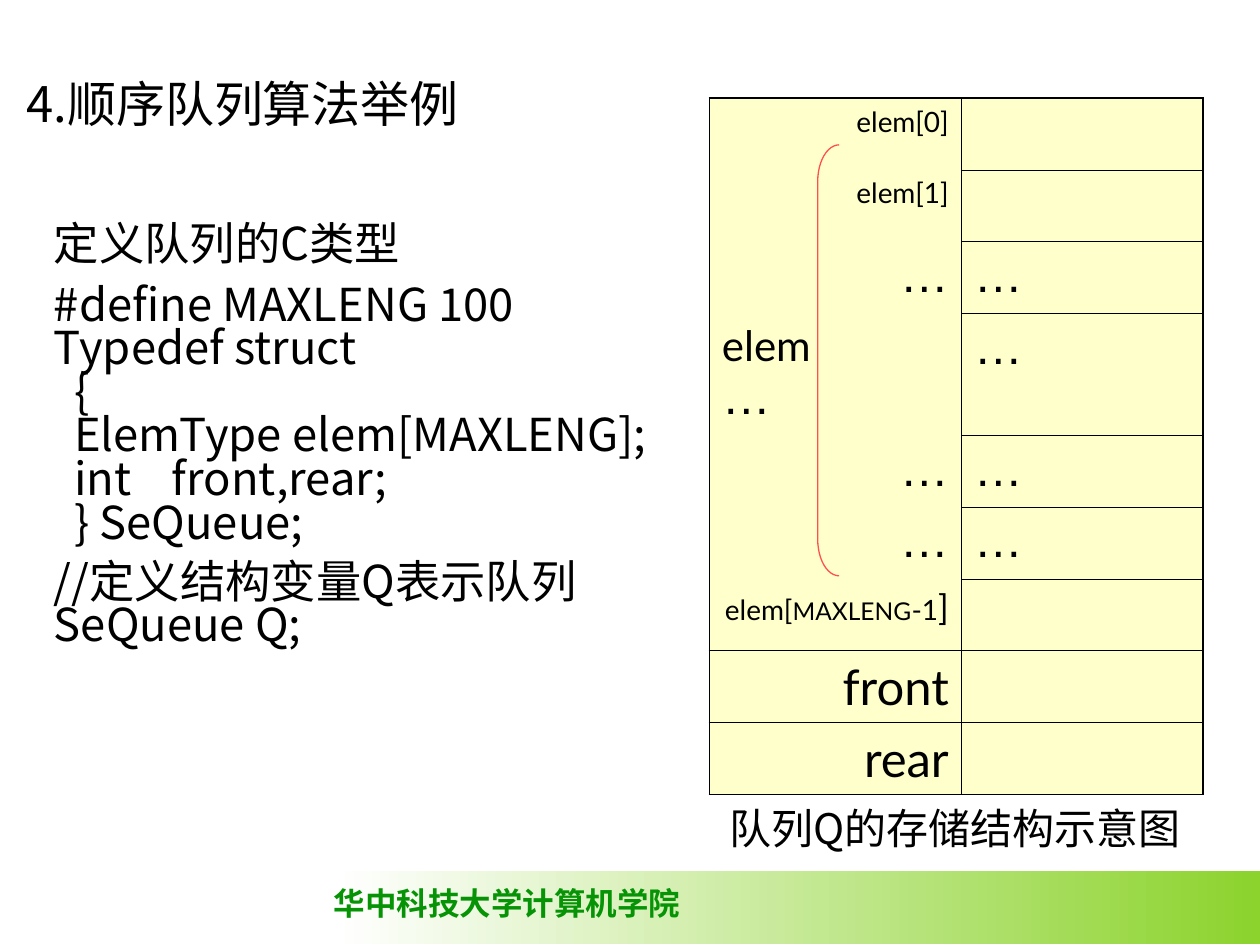
"""Build a slide on the C type and storage layout of a sequential queue."""
from dataclasses import dataclass

from lxml.etree import SubElement
from pptx import Presentation
from pptx.dml.color import RGBColor
from pptx.enum.shapes import MSO_SHAPE as Shape
from pptx.enum.text import MSO_ANCHOR as Anchor, PP_ALIGN as Align
from pptx.oxml.ns import qn
from pptx.util import Inches, Pt

BLACK = RGBColor(0x00, 0x00, 0x00)
WHITE = RGBColor(0xFF, 0xFF, 0xFF)
GREEN = RGBColor(0x8C, 0xD3, 0x2D)
DARK_GREEN = RGBColor(0x06, 0x94, 0x06)
CREAM = RGBColor(0xFF, 0xFF, 0xCC)
RED = RGBColor(0xFF, 0x50, 0x50)
CJK = "Noto Sans CJK SC"
THICK, THIN = 1.08, 0.45


@dataclass
class Area:
    left: float
    top: float
    width: float
    height: float

    def lengths(self) -> list:
        return [Inches(n) for n in (self.left, self.top, self.width, self.height)]


@dataclass
class Span:
    text: str
    size: float
    font: str = "Lato"


@dataclass
class Line:
    text: str
    before: float = 0


@dataclass
class Row:
    label: list[list[Span]]
    value: list[list[Span]]
    height: float = 0.57
    align: Align = Align.RIGHT
    is_element: bool = True


DOTS = [[Span("…", 28, "Arial")]]
ROWS = [
    Row([[Span("elem[0]", 16)]], []),
    Row([[Span("elem[1]", 16)]], []),
    Row(DOTS, DOTS),
    Row([[Span("elem", 24)], *DOTS], DOTS, 0.96, Align.LEFT),
    Row(DOTS, DOTS),
    Row(DOTS, DOTS),
    Row([[Span("elem[", 16), Span("MAXLENG", 14), Span("-1", 16), Span("]", 20)]], []),
    Row([[Span("front", 28)]], [], is_element=False),
    Row([[Span("rear", 28)]], [], is_element=False),
]
CODE = [
    Line("定义队列的C类型"),
    Line("#define MAXLENG 100", 10),
    Line("Typedef struct"),
    Line("  {"),
    Line("  ElemType elem[MAXLENG];"),
    Line("  int    front,rear;"),
    Line("  } SeQueue;"),
    Line("//定义结构变量Q表示队列", 9),
    Line("SeQueue Q;"),
]


def style_span(span, size: float, font: str = CJK, color: RGBColor = BLACK) -> None:
    span.font.size = Pt(size)
    span.font.name = font
    span.font.color.rgb = color
    SubElement(span.font._element, qn("a:ea"), typeface=CJK)


def add_text(slide, area: Area, lines: list[Line], size: float, font: str = CJK,
             color: RGBColor = BLACK, spacing: float = 1, bold: bool = False,
             wrap: bool = True) -> None:
    frame = slide.shapes.add_textbox(*area.lengths()).text_frame
    frame.word_wrap = wrap
    frame.text = "\n".join(line.text for line in lines)
    for para, line in zip(frame.paragraphs, lines):
        para.line_spacing = spacing
        if line.before:
            para.space_before = Pt(line.before)
        for span in para.runs:
            style_span(span, size, font, color)
            span.font.bold = bold


def set_borders(cell, widths: dict[str, float]) -> None:
    properties = cell._tc.get_or_add_tcPr()
    for index, (side, width) in enumerate(widths.items()):
        border = properties.makeelement(qn(f"a:ln{side}"), {"w": str(Pt(width))})
        if width:
            fill = SubElement(border, qn("a:solidFill"))
            SubElement(fill, qn("a:srgbClr"), val=str(BLACK))
        else:
            SubElement(border, qn("a:noFill"))
        properties.insert(index, border)


def fill_cell(cell, paragraphs: list[list[Span]], align: Align) -> None:
    cell.fill.solid()
    cell.fill.fore_color.rgb = CREAM
    frame = cell.text_frame
    for index, spans in enumerate(paragraphs):
        para = frame.add_paragraph() if index else frame.paragraphs[0]
        para.alignment = align
        for item in spans:
            span = para.add_run()
            span.text = item.text
            style_span(span, item.size, item.font)


def add_storage_table(slide, area: Area) -> None:
    table = slide.shapes.add_table(len(ROWS), 2, *area.lengths()).table
    table.first_row = table.horz_banding = False
    for column, width in zip(table.columns, (2, 1.92)):
        column.width = Inches(width)
    last = len(ROWS) - 1
    for index, row in enumerate(ROWS):
        table.rows[index].height = Inches(row.height)
        label, value = table.cell(index, 0), table.cell(index, 1)
        fill_cell(label, row.label, row.align)
        fill_cell(value, row.value, Align.LEFT)
        top = THIN if index else THICK
        bottom = THIN if index < last else THICK
        joins_above = index and row.is_element
        joins_below = row.is_element and ROWS[index + 1].is_element
        set_borders(label, {"L": THICK, "R": THIN, "T": 0 if joins_above else top,
                            "B": 0 if joins_below else bottom})
        set_borders(value, {"L": THIN, "R": THICK, "T": top, "B": bottom})


def add_footer(slide) -> None:
    bar = slide.shapes.add_shape(Shape.RECTANGLE, *Area(2.67, 6.91, 7.33, 0.58).lengths())
    bar.shadow.inherit = False
    bar.line.fill.background()
    bar.fill.gradient()
    bar.fill.gradient_angle = 0
    for stop, color in zip(bar.fill.gradient_stops, (WHITE, GREEN)):
        stop.color.rgb = color
    add_text(slide, Area(2.55, 6.97, 2.95, 0.4), [Line("华中科技大学计算机学院")], 18,
             "Times New Roman", DARK_GREEN, bold=True, wrap=False)


def add_title(slide) -> None:
    title = slide.shapes.title
    title.left, title.top, title.width, title.height = Area(0.11, 0.6, 4.11, 0.5).lengths()
    frame = title.text_frame
    frame.text = "4.顺序队列算法举例"
    frame.vertical_anchor = Anchor.BOTTOM
    para = frame.paragraphs[0]
    para.alignment = Align.LEFT
    para.line_spacing = 0.85
    style_span(para.runs[0], 28)


def add_bracket(slide, area: Area) -> None:
    bracket = slide.shapes.add_shape(Shape.LEFT_BRACKET, *area.lengths())
    bracket.adjustments[0] = 0.29 / area.width
    bracket.shadow.inherit = False
    bracket.fill.background()
    bracket.line.color.rgb = RED
    bracket.line.width = Pt(0.75)


def main() -> None:
    deck = Presentation()
    deck.slide_width, deck.slide_height = Inches(10), Inches(7.5)
    slide = deck.slides.add_slide(deck.slide_layouts[5])
    add_footer(slide)
    add_title(slide)
    add_text(slide, Area(0.33, 1.74, 5, 4.37), CODE, 25.9, spacing=0.8)
    add_storage_table(slide, Area(5.63, 0.78, 3.92, 5.5))
    add_text(slide, Area(5.69, 6.32, 3.83, 0.9), [Line("队列Q的存储结构示意图")], 24)
    add_bracket(slide, Area(6.49, 1.15, 0.17, 3.42))
    deck.save("out.pptx")


if __name__ == "__main__":
    main()
